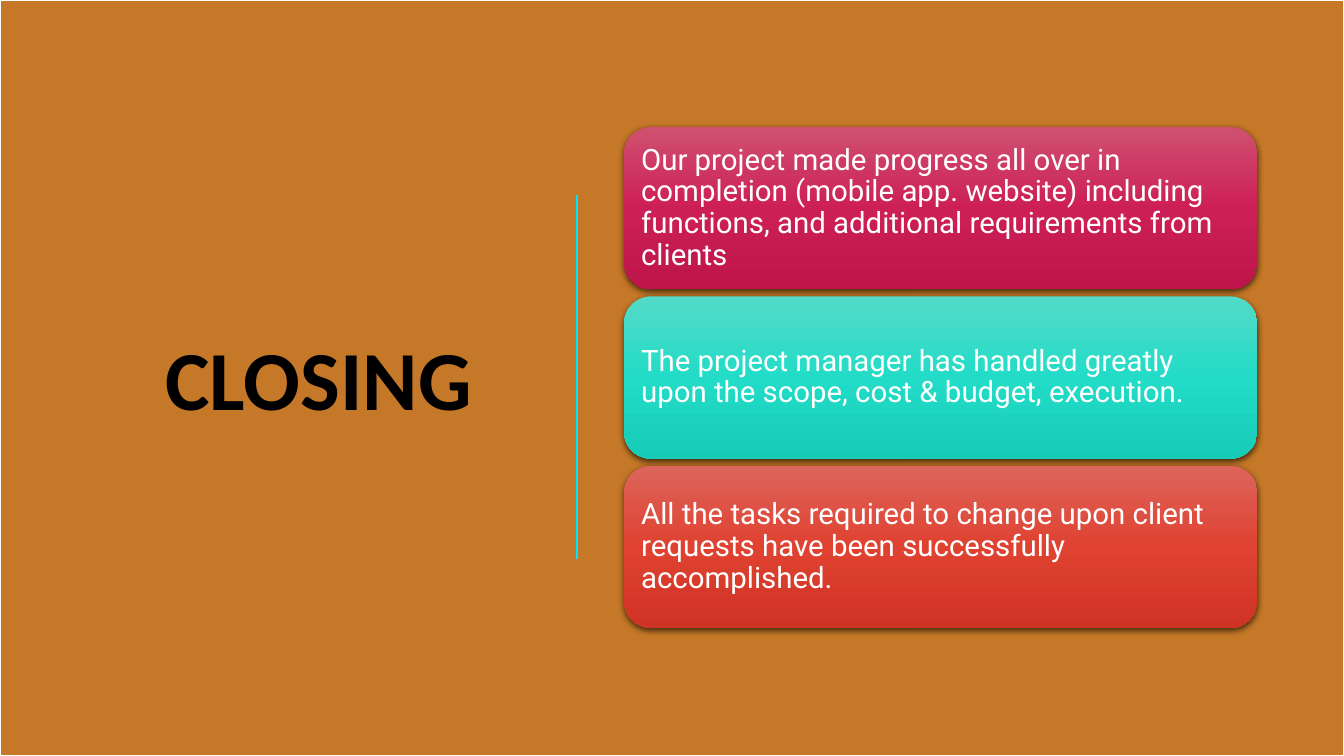
from copy import deepcopy

from lxml import etree
from pptx import Presentation
from pptx.dml.color import RGBColor
from pptx.enum import shapes, text
from pptx.oxml import ns
from pptx.util import Inches, Pt

TITLE = "CLOSING"
CARDS = [
    ("Our project made progress all over in completion (mobile app. website) including "
     "functions, and additional requirements from clients", ("CF516F", "CD1F57", "BD154B")),
    ("The project manager has handled greatly upon the scope, cost & budget, execution.",
     ("53DAC8", "22DCC7", "17CBB7")),
    ("All the tasks required to change upon client requests have been successfully accomplished.",
     ("DD645B", "DF4231", "CF3323")),
]

ORANGE = RGBColor(0xC5, 0x78, 0x27)
CYAN = RGBColor(0x00, 0xE4, 0xFF)
WHITE = RGBColor(0xFF, 0xFF, 0xFF)
BLACK = RGBColor(0x00, 0x00, 0x00)

CARD_LEFT, CARD_TOP, CARD_WIDTH, CARD_HEIGHT, CARD_STEP = 6.19, 1.26, 6.28, 1.61, 1.68


def style_font(paragraph, name, size, color, bold=False):
    font = paragraph.runs[0].font
    font.name, font.size, font.bold = name, Pt(size), bold
    font.color.rgb = color


def fill_gradient(shape, colors):
    shape.fill.gradient()
    shape.fill.gradient_angle = 270
    first = shape.element.spPr.find(".//" + ns.qn("a:gs"))
    first.addnext(deepcopy(first))
    for stop, position, color in zip(shape.fill.gradient_stops, (0, 0.5, 1), colors):
        stop.position = position
        stop.color.rgb = RGBColor.from_string(color)


def add_shadow(shape):
    shape.shadow.inherit = False
    effects = shape.element.spPr.find(ns.qn("a:effectLst"))
    shadow = etree.SubElement(effects, ns.qn("a:outerShdw"), blurRad=str(Pt(4.5)),
                              dist=str(Pt(1.5)), dir="5400000", algn="ctr", rotWithShape="0")
    color = etree.SubElement(shadow, ns.qn("a:srgbClr"), val="000000")
    etree.SubElement(color, ns.qn("a:alpha"), val="63000")


def add_card(slide, index, wording, colors):
    card = slide.shapes.add_shape(
        shapes.MSO_SHAPE.ROUNDED_RECTANGLE, Inches(CARD_LEFT),
        Inches(CARD_TOP + index * CARD_STEP), Inches(CARD_WIDTH), Inches(CARD_HEIGHT))
    fill_gradient(card, colors)
    card.line.fill.background()
    add_shadow(card)
    frame = card.text_frame
    frame.text = wording
    frame.word_wrap = True
    frame.vertical_anchor = text.MSO_ANCHOR.MIDDLE
    frame.margin_left = frame.margin_right = Inches(0.09)
    frame.margin_top = frame.margin_bottom = Inches(0.09)
    paragraph = frame.paragraphs[0]
    paragraph.alignment = text.PP_ALIGN.LEFT
    paragraph.line_spacing = 0.9
    style_font(paragraph, "Roboto", 21, WHITE)


def main():
    presentation = Presentation()
    presentation.slide_width, presentation.slide_height = Inches(13.33), Inches(7.5)
    slide = presentation.slides.add_slide(presentation.slide_layouts[5])

    title = slide.shapes.title
    title.left, title.top, title.width, title.height = map(Inches, (1.39, 3.19, 3.54, 1.11))
    frame = title.text_frame
    frame.text = TITLE
    frame.word_wrap = True
    frame.auto_size = text.MSO_AUTO_SIZE.SHAPE_TO_FIT_TEXT
    frame.vertical_anchor = text.MSO_ANCHOR.TOP
    frame.paragraphs[0].alignment = text.PP_ALIGN.CENTER
    style_font(frame.paragraphs[0], "Calibri", 60, BLACK, bold=True)

    backdrop = slide.shapes.add_shape(shapes.MSO_SHAPE.RECTANGLE, 0, 0,
                                      presentation.slide_width, presentation.slide_height)
    backdrop.shadow.inherit = False
    backdrop.fill.solid()
    backdrop.fill.fore_color.rgb = ORANGE
    backdrop.line.color.rgb = WHITE
    backdrop.line.width = Pt(1.5)
    title.element.addprevious(backdrop.element)

    divider = slide.shapes.add_connector(shapes.MSO_CONNECTOR.STRAIGHT, Inches(5.72),
                                         Inches(1.93), Inches(5.72), Inches(5.55))
    divider.line.color.rgb = CYAN
    divider.line.width = Pt(1.5)
    etree.SubElement(divider.element.spPr, ns.qn("a:effectLst"))

    for index, (wording, colors) in enumerate(CARDS):
        add_card(slide, index, wording, colors)

    presentation.save("out.pptx")


if __name__ == "__main__":
    main()
